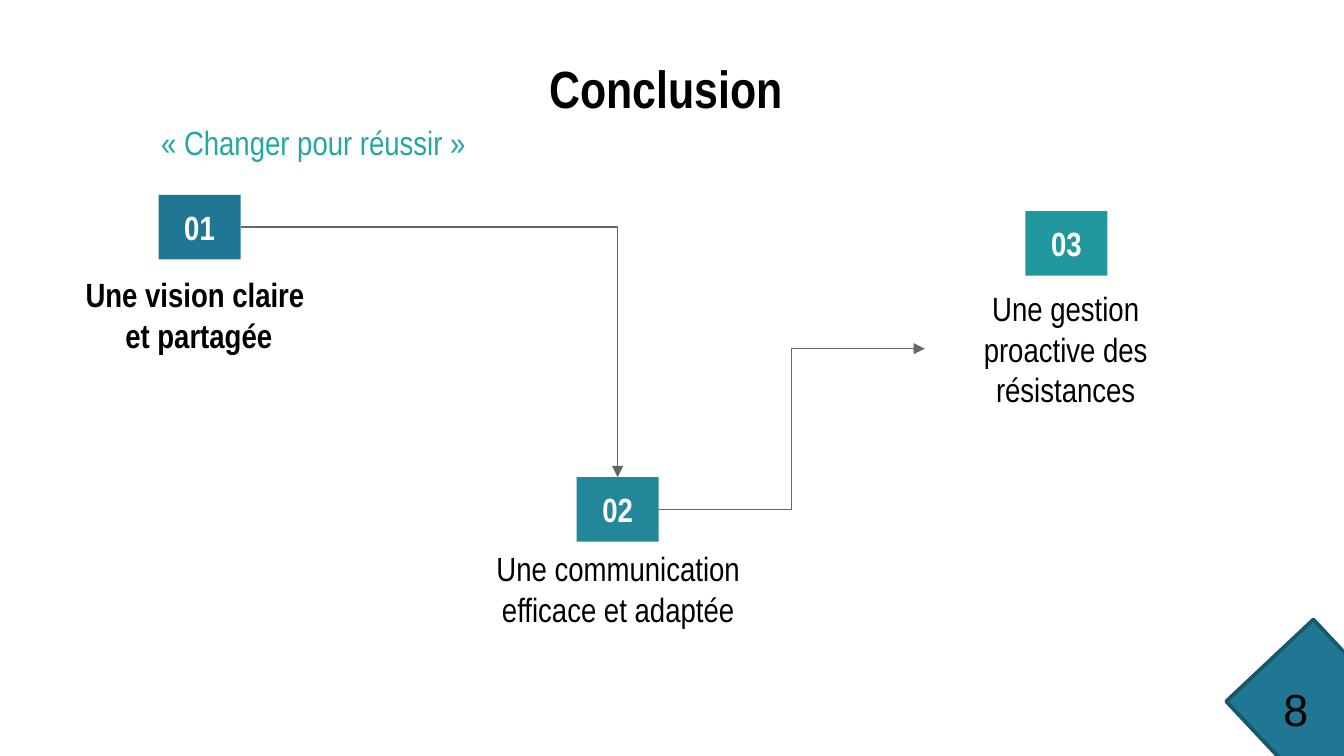
from dataclasses import dataclass

from lxml import etree
from pptx import Presentation
from pptx import util as u
from pptx.dml.color import RGBColor
from pptx.enum import shapes, text
from pptx.oxml.ns import qn


@dataclass(frozen=True)
class Theme:
    font: str = "Arial Narrow"
    number_font: str = "Arial"
    ink: str = "000000"
    white: str = "FFFFFF"
    accent: str = "22A8A2"
    line: str = "666666"
    steps: tuple = ("207794", "218799", "21979E")
    corner: str = "207794"
    corner_edge: str = "18586D"
    title_size: int = 28
    body_size: int = 18
    number_size: int = 24


THEME = Theme()
TOP, LEFT, RIGHT = 0, 1, 3  # connection sites of a rectangle


def write(frame, content, *, size=THEME.body_size, font=THEME.font, color=THEME.ink,
          bold=False, align=text.PP_ALIGN.CENTER, anchor=text.MSO_ANCHOR.MIDDLE, pad=0.1):
    """Fill a text frame, one paragraph for each line of content."""
    frame.word_wrap = True
    frame.auto_size = text.MSO_AUTO_SIZE.NONE
    frame.vertical_anchor = anchor
    frame.margin_left = frame.margin_right = u.Inches(0.1)
    frame.margin_top = frame.margin_bottom = u.Inches(pad)
    for index, line in enumerate(content.split("\n")):
        para = frame.paragraphs[0] if index == 0 else frame.add_paragraph()
        para.alignment = align
        span = para.add_run()
        span.text = line
        span.font.name = font
        span.font.size = u.Pt(size)
        span.font.bold = bold
        span.font.color.rgb = RGBColor.from_string(color)


class Painter:
    """Holds the style and the current slide."""

    def __init__(self, slide, theme):
        self.slide, self.theme = slide, theme

    def title(self, content, area):
        box = self.slide.shapes.title
        box.left, box.top, box.width, box.height = map(u.Inches, area)
        write(box.text_frame, content, size=self.theme.title_size, bold=True)

    def label(self, content, area, **style):
        box = self.slide.shapes.add_textbox(*map(u.Inches, area))
        write(box.text_frame, content, **style)
        return box

    def block(self, kind, area, fill, edge=None, edge_width=2):
        box = self.slide.shapes.add_shape(kind, *map(u.Inches, area))
        box.shadow.inherit = False
        box.fill.solid()
        box.fill.fore_color.rgb = RGBColor.from_string(fill)
        if edge:
            box.line.color.rgb = RGBColor.from_string(edge)
            box.line.width = u.Pt(edge_width)
        else:
            box.line.fill.background()
        return box

    def badge(self, content, left, top, fill):
        box = self.block(shapes.MSO_SHAPE.ROUNDED_RECTANGLE, (left, top, 0.61, 0.48), fill)
        box.adjustments[0] = 0
        write(box.text_frame, content, color=self.theme.white, bold=True)
        return box

    def arrow(self, start, start_site, end, end_site, bend="bentConnector3"):
        link = self.slide.shapes.add_connector(shapes.MSO_CONNECTOR.ELBOW, 0, 0, 0, 0)
        link.begin_connect(start, start_site)
        link.end_connect(end, end_site)
        link.line.color.rgb = RGBColor.from_string(self.theme.line)
        link.line.width = u.Pt(0.75)
        properties = link._element.spPr
        properties.find(qn("a:prstGeom")).set("prst", bend)
        outline = properties.find(qn("a:ln"))
        etree.SubElement(outline, qn("a:tailEnd"), type="triangle")
        etree.SubElement(properties, qn("a:effectLst"))


def main():
    deck = Presentation()
    deck.slide_width = u.Inches(10)
    deck.slide_height = deck.slide_width * 9 // 16
    page = deck.slides.add_slide(deck.slide_layouts[5])
    painter = Painter(page, THEME)

    # Heading
    painter.title("Conclusion ", (0.5, 0.45, 9, 0.41))

    # Steps: number, badge position, caption, caption area, bold
    steps = [
        ("01", 1.18, 1.45, "Une vision claire \net partagée",
         (0.43, 2.1, 2.1, 0.48), True),
        ("02", 4.29, 3.55, "Une communication efficace et adaptée",
         (3.55, 4.14, 2.1, 0.48), False),
        ("03", 7.63, 1.57, "Une gestion proactive des résistances",
         (6.88, 2.28, 2.1, 0.63), False),
    ]
    badges, captions = [], []
    for (number, left, top, caption, area, bold), fill in zip(steps, THEME.steps):
        captions.append(painter.label(caption, area, bold=bold))
        badges.append(painter.badge(number, left, top, fill))

    # Path from step to step
    painter.arrow(badges[0], RIGHT, badges[1], TOP, bend="bentConnector2")
    painter.arrow(badges[1], RIGHT, captions[2], LEFT)

    # Motto
    plain = dict(align=text.PP_ALIGN.LEFT, anchor=text.MSO_ANCHOR.TOP, pad=0.05)
    painter.label("« Changer pour réussir »", (1.1, 0.86, 2.85, 0.4),
                  color=THEME.accent, **plain)

    # Page number on the corner
    corner = painter.block(shapes.MSO_SHAPE.RECTANGLE, (9.14, 5.18, 1.95, 0.89),
                           THEME.corner, THEME.corner_edge)
    corner.rotation = 46.8
    painter.label("8", (9.45, 5.02, 0.47, 0.5), size=THEME.number_size,
                  font=THEME.number_font, **plain)

    deck.save("out.pptx")


if __name__ == "__main__":
    main()
